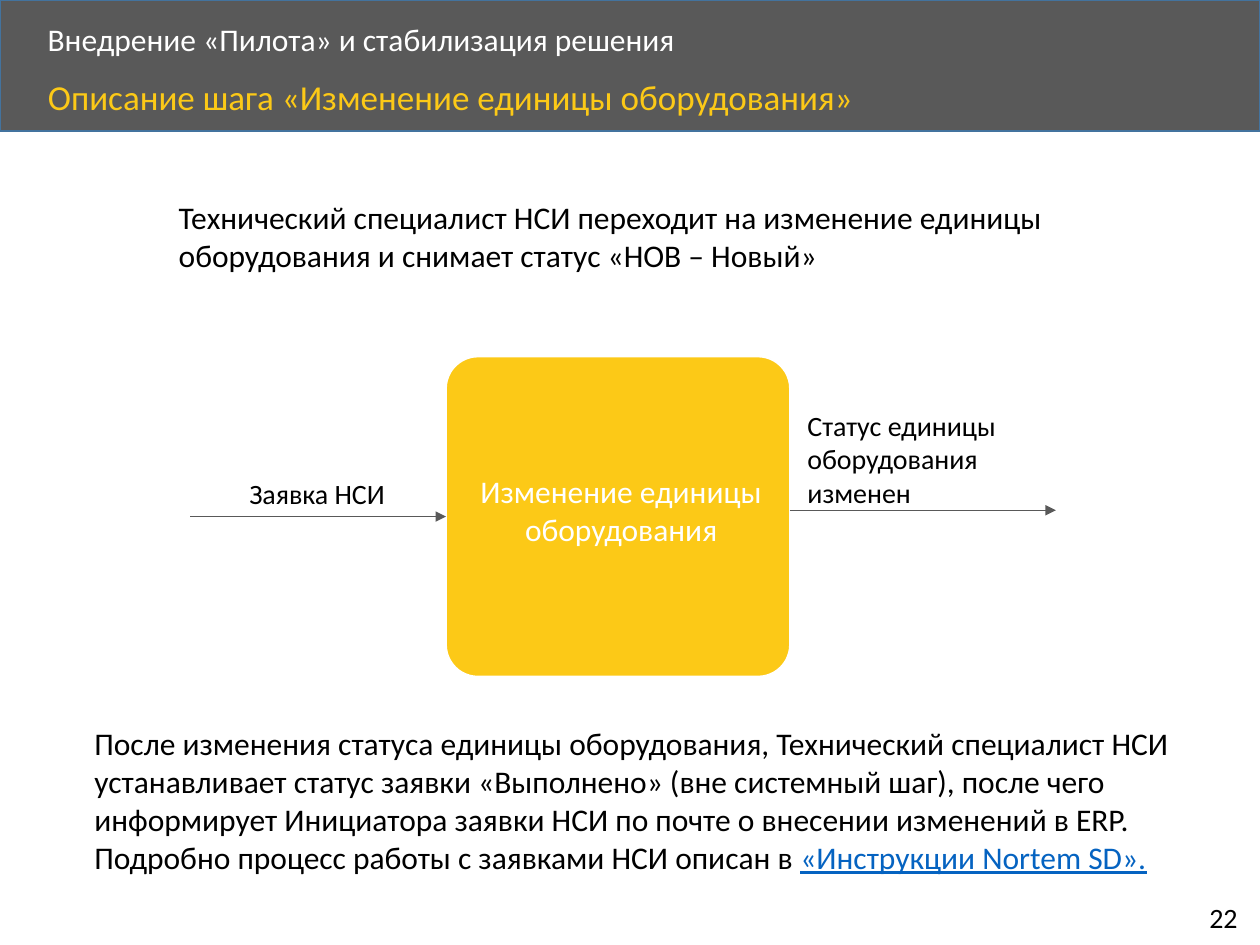
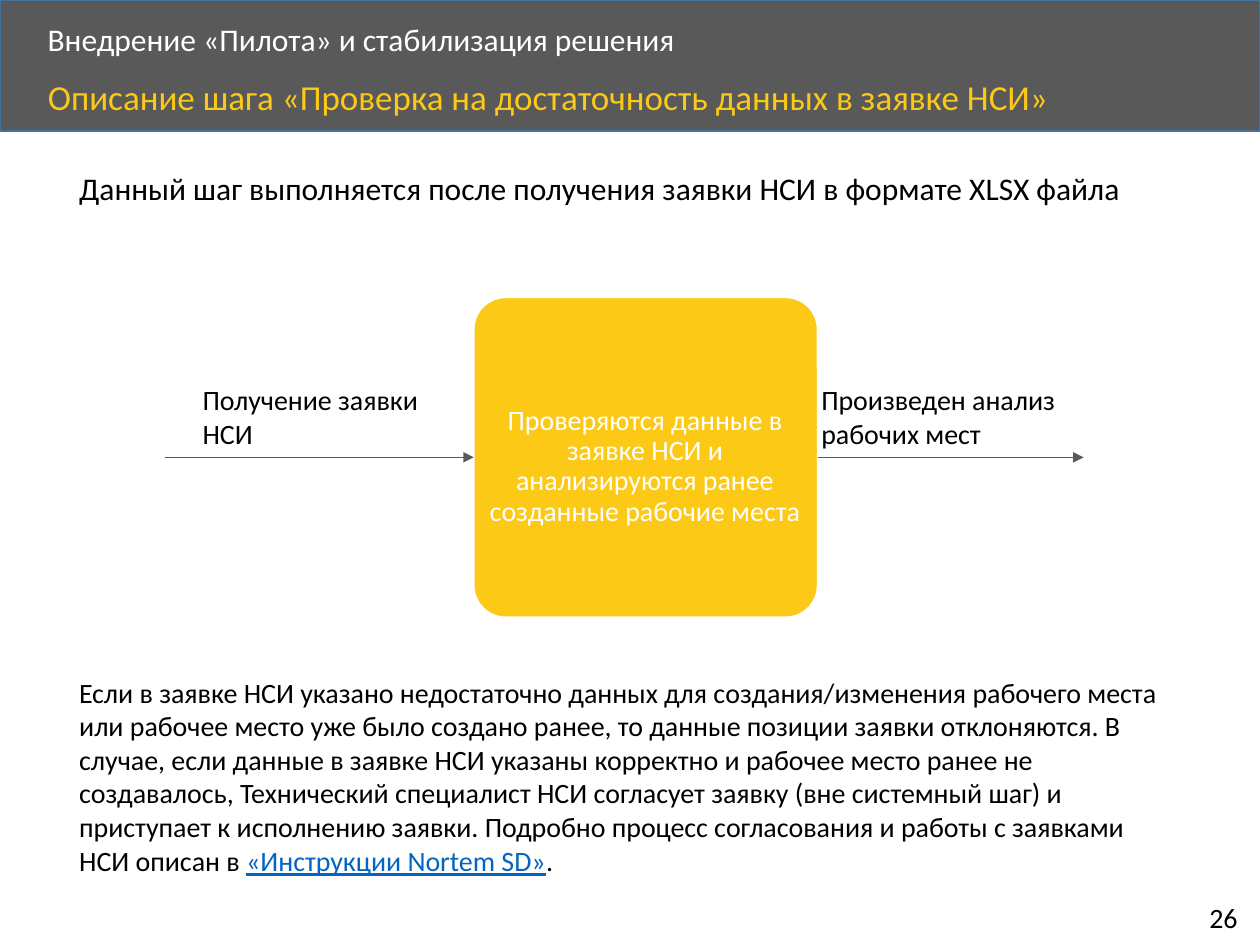
from lxml.etree import SubElement
from pptx import Presentation
from pptx.dml.color import RGBColor
from pptx.enum.shapes import MSO_CONNECTOR, MSO_SHAPE
from pptx.enum.text import MSO_ANCHOR, PP_ALIGN
from pptx.oxml.ns import qn
from pptx.util import Inches, Pt

FONT = "Calibri"
COLORS = {
    "band": "595959",
    "band_line": "43739E",
    "accent": "FCC917",
    "white": "FFFFFF",
    "text": "000000",
    "link": "0563C1",
}
SECTION = "Внедрение «Пилота» и стабилизация решения"
TITLE_ONLY = 5
STEP_WIDTH, STEP_HEIGHT = 2.73, 2.54


def color(name):
    return RGBColor.from_string(COLORS[name])


class StepDeck:
    """Holds the presentation, its style and the slide being built."""

    def __init__(self):
        self.presentation = Presentation()
        self.presentation.slide_width = Inches(10)
        self.presentation.slide_height = Inches(7.5)
        self.slide = None

    def start_slide(self, title, number):
        layout = self.presentation.slide_layouts[TITLE_ONLY]
        self.slide = self.presentation.slides.add_slide(layout)
        self.header(title)
        self.text(str(number), 9.5, 7.1, 0.46, 0.37, size=16, wrap=False)

    def header(self, title):
        band = self.shape(MSO_SHAPE.RECTANGLE, 0, 0, 10, 1.04, "band", "band_line")
        placeholder = self.slide.shapes.title
        placeholder._element.addprevious(band._element)
        placeholder.left, placeholder.top = Inches(0.28), Inches(0.59)
        placeholder.width, placeholder.height = Inches(8.67), Inches(0.45)
        self.set_text(placeholder.text_frame, [(title, "accent")], 20, spacing=0.9)
        section = self.text(SECTION, 0.28, 0.14, 8.07, 0.38, name="white", spacing=0.9)
        section.text_frame.vertical_anchor = MSO_ANCHOR.MIDDLE

    def set_text(self, frame, parts, size, align=PP_ALIGN.LEFT, spacing=1.0):
        """Fill a frame with one paragraph of (text, color name) parts."""
        frame.word_wrap = True
        frame.vertical_anchor = MSO_ANCHOR.TOP
        paragraph = frame.paragraphs[0]
        paragraph.alignment = align
        paragraph.line_spacing = spacing
        for words, name in parts:
            run = paragraph.add_run()
            run.text = words
            run.font.name = FONT
            run.font.size = Pt(size)
            run.font.color.rgb = color(name)
            run.font.underline = name == "link"

    def text(self, content, left, top, width, height, size=18, name="text",
             wrap=True, spacing=1.0):
        box = self.slide.shapes.add_textbox(
            Inches(left), Inches(top), Inches(width), Inches(height))
        parts = [(content, name)] if isinstance(content, str) else content
        self.set_text(box.text_frame, parts, size, spacing=spacing)
        box.text_frame.word_wrap = wrap
        return box

    def shape(self, kind, left, top, width, height, fill, line):
        shape = self.slide.shapes.add_shape(
            kind, Inches(left), Inches(top), Inches(width), Inches(height))
        shape.shadow.inherit = False
        shape.fill.solid()
        shape.fill.fore_color.rgb = color(fill)
        shape.line.color.rgb = color(line)
        shape.line.width = Pt(1)
        return shape

    def step(self, words, left, top, size, margins, spacing=1.0):
        """Draw the process step; margins are left, top, right, bottom."""
        step = self.shape(MSO_SHAPE.ROUNDED_RECTANGLE, left, top,
                          STEP_WIDTH, STEP_HEIGHT, "accent", "white")
        step.adjustments[0] = 0.1
        frame = step.text_frame
        self.set_text(frame, [(words, "white")], size, PP_ALIGN.CENTER, spacing)
        frame.vertical_anchor = MSO_ANCHOR.MIDDLE
        (frame.margin_left, frame.margin_top,
         frame.margin_right, frame.margin_bottom) = map(Inches, margins)

    def arrow(self, start, end, y):
        connector = self.slide.shapes.add_connector(
            MSO_CONNECTOR.STRAIGHT, Inches(start), Inches(y), Inches(end), Inches(y))
        connector.line.color.rgb = color("band")
        connector.line.width = Pt(0.5)
        properties = connector._element.spPr
        SubElement(properties.get_or_add_ln(), qn("a:tailEnd"), type="triangle")
        SubElement(properties, qn("a:effectLst"))


def change_slide(deck):
    deck.start_slide("Описание шага «Изменение единицы оборудования»", 22)
    step_left = 3.54
    deck.step("Изменение единицы оборудования", step_left, 2.83, 18,
              (0.05, 0.05, 0, 0.16))
    deck.arrow(1.51, step_left, 4.1)
    deck.arrow(step_left + STEP_WIDTH, 8.38, 4.05)
    deck.text("Заявка НСИ", 1.88, 3.73, 1.39, 0.37, size=16)
    deck.text("Статус единицы оборудования изменен", 6.31, 3.19, 2.19, 0.91, size=16)
    deck.text("Технический специалист НСИ переходит на изменение единицы "
              "оборудования и снимает статус «НОВ – Новый»", 1.32, 1.52, 7.18, 0.71)
    deck.text([
        ("После изменения статуса единицы оборудования, Технический специалист "
         "НСИ устанавливает статус заявки «Выполнено» (вне системный шаг), после "
         "чего информирует Инициатора заявки НСИ по почте о внесении изменений "
         "в ERP. Подробно процесс работы c заявками НСИ описан в ", "text"),
        ("«Инструкции Nortem SD».", "link"),
    ], 0.65, 5.7, 8.81, 1.62)


def check_slide(deck):
    deck.start_slide(
        "Описание шага «Проверка на достаточность данных в заявке НСИ»", 26)
    step_left = 3.76
    deck.text("Данный шаг выполняется после получения заявки НСИ в формате "
              "XLSX файла", 0.53, 1.29, 8.88, 0.4)
    deck.step("Проверяются данные в заявке НСИ и анализируются ранее "
              "созданные рабочие места", step_left, 2.36, 16,
              (0.01, 0.16, 0.02, 0.01), spacing=0.9)
    deck.arrow(1.31, step_left, 3.63)
    deck.arrow(step_left + STEP_WIDTH, 8.6, 3.63)
    deck.text([
        ("Если в заявке НСИ указано недостаточно данных для создания/изменения "
         "рабочего места или рабочее место уже было создано ранее, то данные "
         "позиции заявки отклоняются. В случае, если данные в заявке НСИ указаны "
         "корректно и рабочее место ранее не создавалось, Технический специалист "
         "НСИ согласует заявку (вне системный шаг) и приступает к исполнению "
         "заявки. Подробно процесс согласования и работы c заявками НСИ описан в ",
         "text"),
        ("«Инструкции Nortem SD»", "link"),
        (".", "text"),
    ], 0.53, 5.31, 8.88, 1.72, size=16)
    deck.text("Получение заявки НСИ", 1.51, 2.99, 2.33, 0.64, size=16)
    deck.text("Произведен анализ рабочих мест", 6.42, 2.99, 2.53, 0.64, size=16)


def main():
    deck = StepDeck()
    change_slide(deck)
    check_slide(deck)
    deck.presentation.save("out.pptx")


if __name__ == "__main__":
    main()
